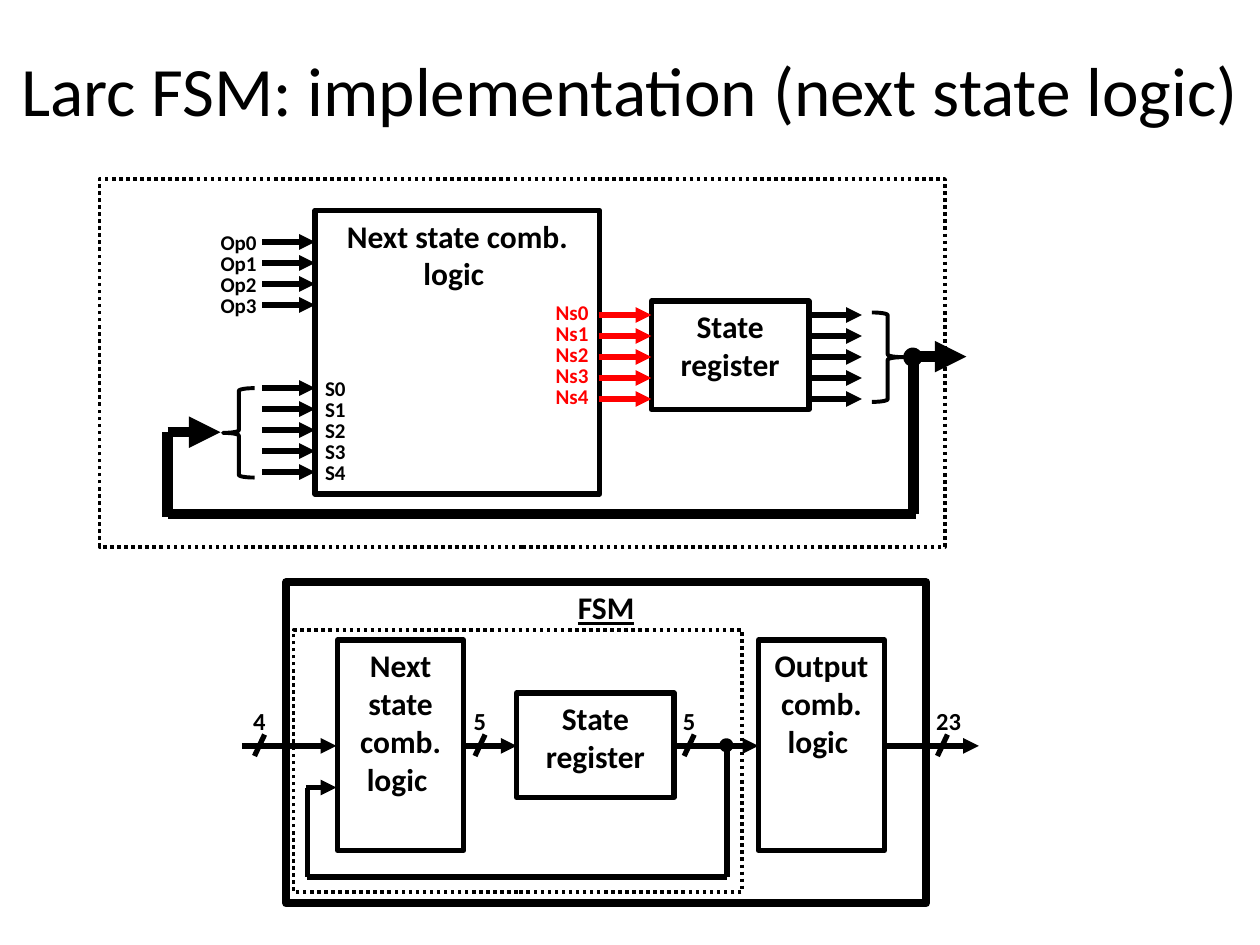
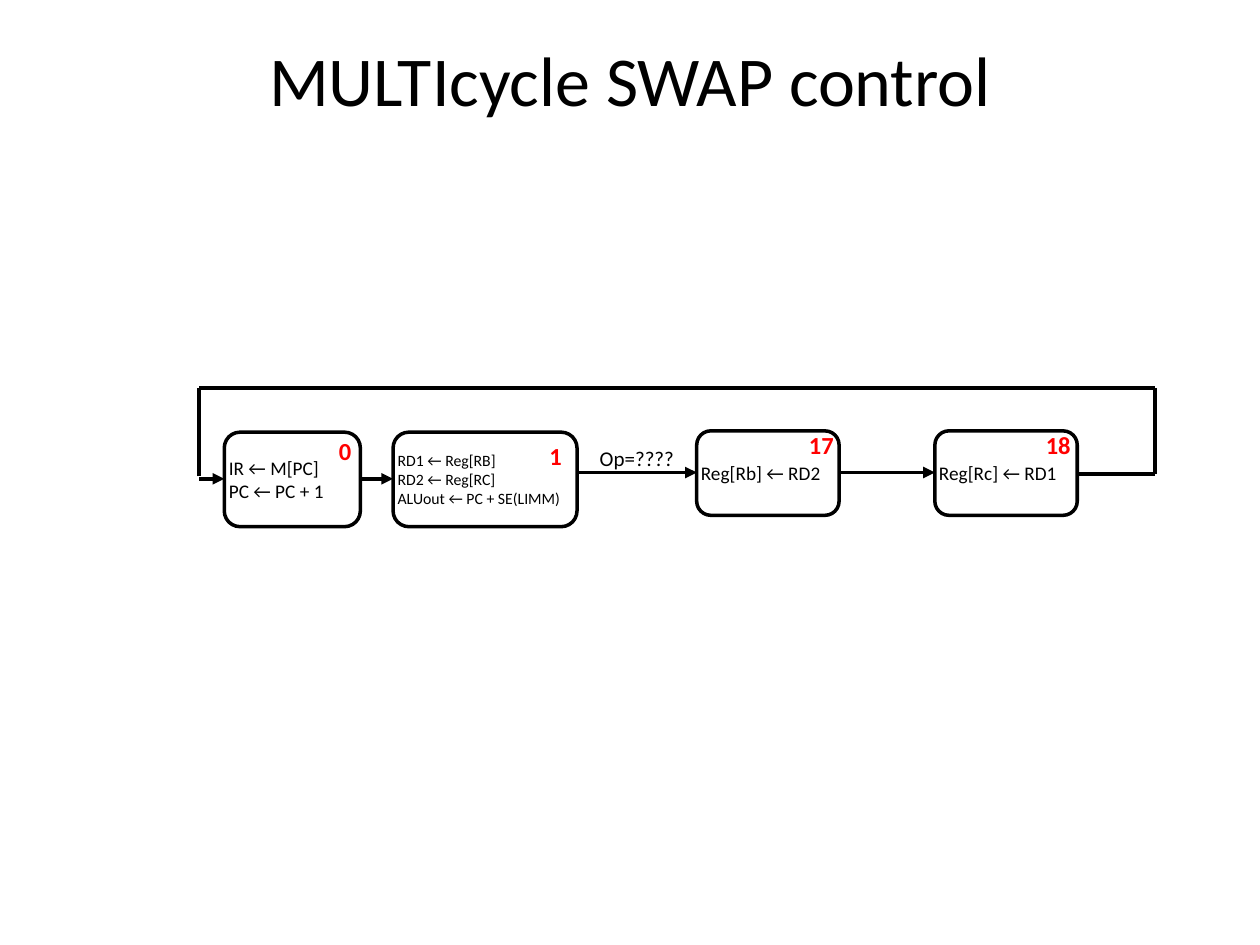
from dataclasses import dataclass
from lxml.etree import SubElement
from pptx import Presentation
from pptx.dml.color import RGBColor as RGB
from pptx.enum.dml import MSO_LINE_DASH_STYLE as DASH
from pptx.enum.shapes import MSO_CONNECTOR as CONN, MSO_SHAPE as SHAPE
from pptx.enum.text import MSO_ANCHOR as ANCHOR, MSO_AUTO_SIZE as AUTO, PP_ALIGN as ALIGN
from pptx.oxml.ns import qn
from pptx.util import Inches, Pt


@dataclass(frozen=True)
class Theme:
    font: str = "Calibri"
    ink: RGB = RGB(0, 0, 0)
    accent: RGB = RGB(255, 0, 0)
    title: float = 40
    long_title: float = 39.6
    block: float = 18
    mark: float = 14
    signal: float = 12
    action: float = 11
    small_action: float = 9
    frame_line: float = 4.5
    line: float = 3
    bus_line: float = 6
    brace_line: float = 2.25
    flow_line: float = 2.25
    thin_line: float = 2


T = Theme()
PITCH = 1 / 6


def write(tf, lines, size, color=T.ink, bold=False, align=ALIGN.LEFT, underline=None):
    for i, line in enumerate(lines):
        p = tf.add_paragraph() if i else tf.paragraphs[0]
        p.text = line
        p.alignment = align
        f = p.font
        f.name, f.size, f.bold, f.underline = T.font, Pt(size), bold, underline
        f.color.rgb = color


def no_insets(tf):
    tf.margin_left = tf.margin_top = tf.margin_right = tf.margin_bottom = 0


def title(slide, text, y, size):
    sp = slide.shapes.add_textbox(0, Inches(y), Inches(10), Inches(1.25))
    tf = sp.text_frame
    tf.word_wrap = True
    tf.vertical_anchor = ANCHOR.MIDDLE
    write(tf, [text], size, align=ALIGN.CENTER)


class Region:
    def __init__(self, slide, x, y):
        self.shapes = slide.shapes
        self.x, self.y = x, y

    def at(self, x, y):
        return Inches(self.x + x), Inches(self.y + y)

    def shape(self, kind, x, y, w, h, width=T.line):
        sp = self.shapes.add_shape(kind, *self.at(x, y), Inches(w), Inches(h))
        sp.shadow.inherit = False
        sp.fill.background()
        sp.line.color.rgb = T.ink
        sp.line.width = Pt(width)
        return sp

    def block(self, text, x, y, w, h, width=T.line, underline=None):
        tf = self.shape(SHAPE.RECTANGLE, x, y, w, h, width).text_frame
        tf.word_wrap = True
        tf.vertical_anchor = ANCHOR.TOP
        write(tf, [text], T.block, bold=True, align=ALIGN.CENTER, underline=underline)

    def dotted(self, x, y, w, h):
        sp = self.shape(SHAPE.RECTANGLE, x, y, w, h, T.thin_line)
        sp.line.dash_style = DASH.ROUND_DOT

    def dot(self, x, y, width=T.line):
        sp = self.shape(SHAPE.OVAL, x - 0.04, y - 0.04, 0.07, 0.07, width)
        sp.fill.solid()
        sp.fill.fore_color.rgb = T.ink

    def line(self, x1, y1, x2, y2, width=T.line, color=T.ink, arrow=False):
        s = self.shapes.add_connector(CONN.STRAIGHT, *self.at(x1, y1), *self.at(x2, y2))
        s.line.color.rgb = color
        s.line.width = Pt(width)
        if arrow:
            SubElement(s.line._get_or_add_ln(), qn("a:tailEnd"), type="triangle")
        SubElement(s._element.spPr, qn("a:effectLst"))

    def arrow(self, x1, x2, y, width=T.line, color=T.ink):
        self.line(x1, y, x2, y, width, color, arrow=True)

    def label(self, text, x, y, w, size, color=T.ink, bold=True):
        sp = self.shapes.add_textbox(*self.at(x, y), Inches(w), Inches(size / 60))
        tf = sp.text_frame
        no_insets(tf)
        tf.word_wrap = False
        tf.auto_size = AUTO.SHAPE_TO_FIT_TEXT
        write(tf, [text], size, color, bold)


def next_state_detail(slide, x, y):
    r = Region(slide, x, y)
    r.block("Next state comb. logic ", 1.71, 0.25, 2.26, 2.25)
    r.block("State register", 4.38, 0.97, 1.25, 0.86)

    signal_groups = [
        ("Op", 4, 1.29, 0.5, 0.96, 0.1, 0.29, T.ink),
        ("S", 5, 1.29, 1.66, 1.79, 0.1, 0.18, T.ink),
        ("Ns", 5, 3.96, 1.08, 3.62, 0.12, 0.28, T.accent),
        (None, 5, 5.63, 1.08, 0, 0, 0, T.ink),
    ]
    for name, count, left, top, label_x, rise, label_w, color in signal_groups:
        for i in range(count):
            wire_y = top + i * PITCH
            r.arrow(left, left + 0.42, wire_y, color=color)
            if name:
                r.label(f"{name}{i}", label_x, wire_y - rise, label_w, T.signal, color)

    r.shape(SHAPE.RIGHT_BRACE, 6.13, 1.06, 0.25, 0.71, T.brace_line)
    r.shape(SHAPE.RIGHT_BRACE, 0.98, 1.66, 0.25, 0.71, T.brace_line).rotation = 180
    for ends in [(6.46, 1.4, 6.46, 2.66), (0.54, 2.66, 6.48, 2.66), (0.54, 2.01, 0.54, 2.68)]:
        r.line(*ends, width=T.bus_line)
    r.arrow(0.54, 0.96, 2.01, T.bus_line)
    r.arrow(6.46, 6.88, 1.41, T.bus_line)
    r.dot(6.46, 1.42, T.bus_line)
    r.dotted(0, 0, 6.71, 2.92)


def fsm_overview(slide, x, y):
    r = Region(slide, x, y)
    wire_y = 1.3
    r.block("FSM", 0, 0, 5.08, 2.55, T.frame_line, underline=True)
    r.block("Next state comb. logic ", 0.41, 0.46, 1, 1.67)
    r.block("Output comb. logic ", 3.75, 0.46, 1, 1.67)
    r.block("State register", 1.83, 0.88, 1.25, 0.83)

    wires = [(-0.35, 0.4, -0.21, "4"), (1.41, 1.83, 1.54, "5"),
             (3.08, 3.75, 3.2, "5"), (4.75, 5.5, 5.21, "23")]
    for left, right, slash_x, bits in wires:
        r.arrow(left, right, wire_y)
        r.line(slash_x + 0.04, wire_y - 0.09, slash_x - 0.04, wire_y + 0.08)
        r.label(bits, slash_x - 0.05, 0.98, 0.1 * len(bits), T.mark)

    r.dot(3.5, wire_y)
    for ends in [(3.5, wire_y, 3.5, 2.34), (0.17, 2.34, 3.5, 2.34), (0.17, 1.63, 0.17, 2.34)]:
        r.line(*ends)
    r.arrow(0.16, 0.4, 1.63)
    r.dotted(0.06, 0.38, 3.56, 2.08)


def swap_states(slide, x, y):
    r = Region(slide, x, y)
    states = [
        ("0", ["IR ← M[PC]", "PC ← PC + 1"],
         (0.2, 0.35, 1.08, 0.75), (1.11, 0.38), T.action),
        ("1", ["RD1 ← Reg[RB]", "RD2 ← Reg[RC]", "ALUout ← PC + SE(LIMM)"],
         (1.54, 0.35, 1.46, 0.75), (2.78, 0.42), T.small_action),
        ("17", ["Reg[Rb] ← RD2"], (3.95, 0.34, 1.13, 0.67), (4.84, 0.33), T.action),
        ("18", ["Reg[Rc] ← RD1"], (5.84, 0.34, 1.13, 0.67), (6.72, 0.33), T.action),
    ]
    for number, actions, box, number_at, size in states:
        tf = r.shape(SHAPE.FLOWCHART_ALTERNATE_PROCESS, *box, T.thin_line).text_frame
        no_insets(tf)
        tf.word_wrap = True
        tf.vertical_anchor = ANCHOR.MIDDLE
        write(tf, actions, size)
        r.label(number, *number_at, 0.1 * len(number), T.mark, T.accent)

    for left, right, wire_y in [(0, 0.2, 0.72), (1.29, 1.54, 0.72),
                                (3, 3.95, 0.67), (5.09, 5.84, 0.67)]:
        r.arrow(left, right, wire_y, T.flow_line)
    for ends in [(6.96, 0.68, 7.59, 0.68), (7.59, 0.68, 7.59, 0),
                 (0, 0, 7.59, 0), (0, 0.7, 0, 0)]:
        r.line(*ends, width=T.flow_line)
    r.label("Op=????", 3.18, 0.46, 0.59, T.signal, bold=False)


def main():
    prs = Presentation()
    prs.slide_width, prs.slide_height = Inches(10), Inches(7.5)
    blank = prs.slide_layouts[6]

    s = prs.slides.add_slide(blank)
    title(s, "Larc FSM: implementation (next state logic)", 0.08, T.long_title)
    fsm_overview(s, 2.27, 4.62)
    next_state_detail(s, 0.79, 1.42)

    s = prs.slides.add_slide(blank)
    title(s, "MULTIcycle SWAP control", 0, T.title)
    swap_states(s, 1.58, 3.08)

    prs.save("out.pptx")


if __name__ == "__main__":
    main()
